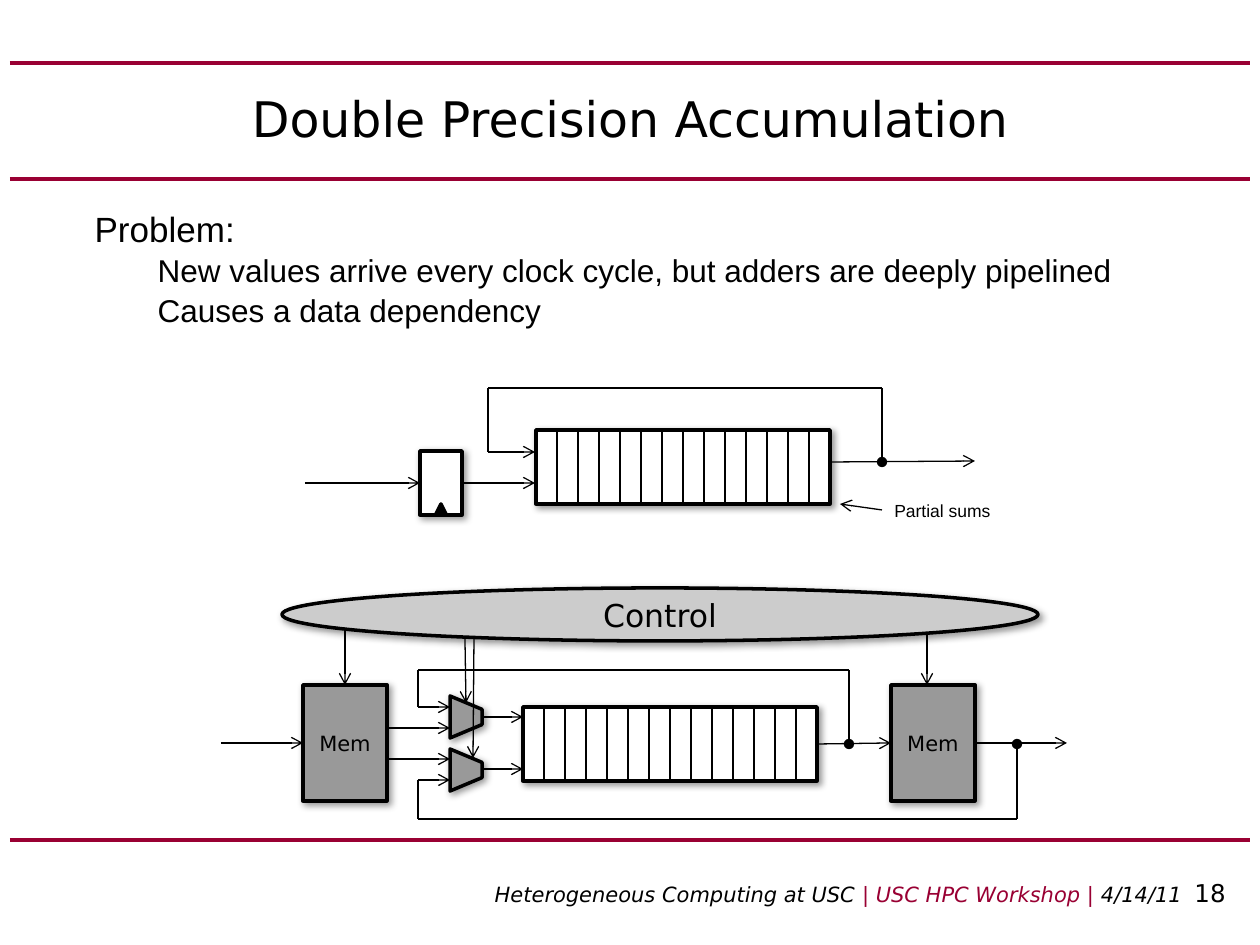
import dataclasses
import itertools
from typing import Optional

import lxml.etree
import pptx
import pptx.dml.color
import pptx.enum.shapes
import pptx.enum.text
import pptx.oxml.ns
import pptx.util

PX = 914400 / 126
SANS, ARIAL = "DejaVu Sans", "Arial"
COLORS = {
    "black": "000000",
    "white": "FFFFFF",
    "rule": "990033",
    "memory": "999999",
    "control": "CCCCCC",
}
Shapes = pptx.enum.shapes.MSO_SHAPE
Align = pptx.enum.text.PP_ALIGN
Anchor = pptx.enum.text.MSO_ANCHOR
AutoSize = pptx.enum.text.MSO_AUTO_SIZE
TOP, LEFT, RIGHT = 0, 1, 3
STAGES, STAGE_WIDTH, ADDER_HEIGHT = 14, 21, 74


@dataclasses.dataclass
class Block:
    kind: int
    box: tuple[int, int, int, int]
    fill: str
    text: str = ""
    size: int = 12
    rotation: int = 0
    shadow: bool = True


@dataclasses.dataclass
class Wire:
    """A run of straight segments; source and target are (block name, side)."""
    points: list[tuple[int, int]]
    dot: bool = False
    arrow: bool = True
    source: Optional[tuple[str, int]] = None
    target: Optional[tuple[str, int]] = None


def adder(left: int, top: int) -> Block:
    return Block(Shapes.RECTANGLE, (left, top, STAGES * STAGE_WIDTH, ADDER_HEIGHT), "white")


def memory(left: int) -> Block:
    return Block(Shapes.RECTANGLE, (left, 685, 84, 116), "memory", "Mem")


def multiplexer(top: int) -> Block:
    return Block(Shapes.TRAPEZOID, (445, top, 42, 32), "memory", rotation=90)


BLOCKS = {
    "register": Block(Shapes.RECTANGLE, (420, 451, 42, 64), "white"),
    "clock": Block(Shapes.ISOSCELES_TRIANGLE, (436, 504, 10, 10), "black", shadow=False),
    "upper adder": adder(536, 430),
    "input memory": memory(303),
    "lower adder": adder(523, 707),
    "upper multiplexer": multiplexer(701),
    "lower multiplexer": multiplexer(754),
    "output memory": memory(891),
    "control": Block(Shapes.OVAL, (282, 588, 756, 53), "control", "Control", 18),
}

WIRES = [
    # Single adder with feedback
    Wire([(305, 483), (420, 483)], target=("register", LEFT)),
    Wire([(462, 483), (535, 483)], source=("register", RIGHT)),
    Wire([(830, 462), (975, 461)]),
    Wire([(882, 462), (882, 388), (488, 388), (488, 452), (535, 452)], dot=True),
    Wire([(882, 510), (840, 504)]),
    # Data path between the memories
    Wire([(221, 743), (303, 743)], target=("input memory", LEFT)),
    Wire([(387, 728), (450, 728)]),
    Wire([(387, 759), (450, 759)]),
    Wire([(481, 717), (523, 717)]),
    Wire([(481, 769), (523, 769)]),
    Wire([(817, 744), (891, 744)],
         source=("lower adder", RIGHT), target=("output memory", LEFT)),
    Wire([(975, 743), (1067, 743)], source=("output memory", RIGHT)),
    Wire([(849, 744), (849, 670), (418, 670), (418, 707), (450, 707)], dot=True),
    Wire([(1017, 744), (1017, 819), (418, 819), (418, 780), (450, 780)], dot=True),
    # Control signals
    Wire([(345, 630), (345, 685)], target=("input memory", TOP)),
    Wire([(465, 638), (466, 703)]),
    Wire([(474, 638), (473, 758)]),
    Wire([(927, 633), (927, 685)]),
]


def px(value: int) -> int:
    return round(value * PX)


def rgb(name: str) -> pptx.dml.color.RGBColor:
    return pptx.dml.color.RGBColor.from_string(COLORS[name])


def add_element(parent, tag: str, **attributes: str):
    element = lxml.etree.SubElement(parent, pptx.oxml.ns.qn(tag))
    for name, value in attributes.items():
        element.set(name, value)
    return element


def place(shape, box: tuple[int, int, int, int]) -> None:
    shape.left, shape.top, shape.width, shape.height = map(px, box)


def format_run(run, font: str, size: int, color: str = "black", italic: bool = False) -> None:
    run.font.name = font
    run.font.size = pptx.util.Pt(size)
    run.font.color.rgb = rgb(color)
    run.font.italic = italic


def add_block(slide, block: Block):
    shape = slide.shapes.add_shape(block.kind, *map(px, block.box))
    shape.rotation = block.rotation
    if block.kind == Shapes.TRAPEZOID:
        shape.adjustments[0] = 0.42
    shape.fill.solid()
    shape.fill.fore_color.rgb = rgb(block.fill)
    shape.line.color.rgb = rgb("black")
    shape.line.width = pptx.util.Pt(2)
    shape.shadow.inherit = False
    if block.shadow:
        effects = shape._element.spPr.find(pptx.oxml.ns.qn("a:effectLst"))
        shadow = add_element(effects, "a:outerShdw", blurRad="50800", dist="25400",
                             dir="2700000", algn="tl", rotWithShape="0")
        color = add_element(shadow, "a:srgbClr", val=COLORS["black"])
        add_element(color, "a:alpha", val="40000")
    if block.text:
        frame = shape.text_frame
        frame.text = block.text
        frame.vertical_anchor = Anchor.MIDDLE
        frame.paragraphs[0].alignment = Align.CENTER
        format_run(frame.paragraphs[0].runs[0], SANS, block.size)
    return shape


def add_line(slide, start: tuple[int, int], end: tuple[int, int],
             color: str = "black", width: float = 0.75,
             dot: bool = False, arrow: bool = False):
    line = slide.shapes.add_connector(
        pptx.enum.shapes.MSO_CONNECTOR.STRAIGHT, *map(px, start + end))
    line.line.color.rgb = rgb(color)
    line.line.width = pptx.util.Pt(width)
    properties = line._element.spPr
    outline = properties.find(pptx.oxml.ns.qn("a:ln"))
    if dot:
        add_element(outline, "a:headEnd", type="oval")
    if arrow:
        add_element(outline, "a:tailEnd", type="arrow")
    add_element(properties, "a:effectLst")
    return line


def add_wire(slide, wire: Wire, shapes: dict) -> None:
    segments = list(itertools.pairwise(wire.points))
    last = len(segments) - 1
    lines = [add_line(slide, start, end, dot=wire.dot and index == 0,
                      arrow=wire.arrow and index == last)
             for index, (start, end) in enumerate(segments)]
    if wire.source:
        lines[0].begin_connect(shapes[wire.source[0]], wire.source[1])
    if wire.target:
        lines[-1].end_connect(shapes[wire.target[0]], wire.target[1])


def add_stages(slide, block: Block) -> None:
    left, top, _, height = block.box
    for stage in range(1, STAGES):
        x = left + stage * STAGE_WIDTH
        add_line(slide, (x, top), (x, top + height))


def add_text_box(slide, box: tuple[int, int, int, int]):
    frame = slide.shapes.add_textbox(*map(px, box)).text_frame
    frame.word_wrap = True
    return frame


def fill_title(slide) -> None:
    title = slide.shapes.title
    place(title, (63, 63, 1134, 110))
    frame = title.text_frame
    frame.text = "Double Precision Accumulation"
    frame.auto_size = AutoSize.NONE
    frame.vertical_anchor = Anchor.MIDDLE
    frame.paragraphs[0].alignment = Align.CENTER
    format_run(frame.paragraphs[0].runs[0], SANS, 28)


def fill_body(slide) -> None:
    body = slide.placeholders[1]
    place(body, (82, 199, 1084, 144))
    frame = body.text_frame
    frame.text = "\n".join([
        "Problem:",
        "New values arrive every clock cycle, but adders are deeply pipelined",
        "Causes a data dependency",
    ])
    frame.auto_size = AutoSize.NONE
    for paragraph, level in zip(frame.paragraphs, (0, 1, 1)):
        paragraph.level = level
        properties = paragraph._p.get_or_add_pPr()
        properties.set("marL", str(px(63 * level)))
        properties.set("indent", "0")
        add_element(properties, "a:buNone")
        paragraph.line_spacing = 1.05
        paragraph.space_before = pptx.util.Pt(0)
        format_run(paragraph.runs[0], ARIAL, 18 if level else 20)


def add_footer(slide) -> None:
    paragraph = add_text_box(slide, (388, 872, 850, 42)).paragraphs[0]
    paragraph.alignment = Align.RIGHT
    for text, size, color, italic in [
        ("Heterogeneous Computing at USC ", 12, "black", True),
        ("| USC HPC Workshop | ", 12, "rule", True),
        ("4/14/11\t ", 12, "black", True),
        ("18", 14, "black", False),
    ]:
        run = paragraph.add_run()
        run.text = text
        format_run(run, SANS, size, color, italic)


def main() -> None:
    presentation = pptx.Presentation()
    presentation.slide_width = px(1260)
    presentation.slide_height = px(945)
    slide = presentation.slides.add_slide(presentation.slide_layouts[1])
    for y in (63, 179, 840):
        add_line(slide, (10, y), (1250, y), "rule", 2.25)
    fill_title(slide)
    fill_body(slide)
    shapes = {name: add_block(slide, block) for name, block in BLOCKS.items()}
    for name in ("upper adder", "lower adder"):
        add_stages(slide, BLOCKS[name])
    for wire in WIRES:
        add_wire(slide, wire, shapes)
    label = add_text_box(slide, (882, 494, 126, 34))
    label.text = "Partial sums"
    format_run(label.paragraphs[0].runs[0], ARIAL, 10)
    add_footer(slide)
    presentation.save("out.pptx")


if __name__ == "__main__":
    main()
